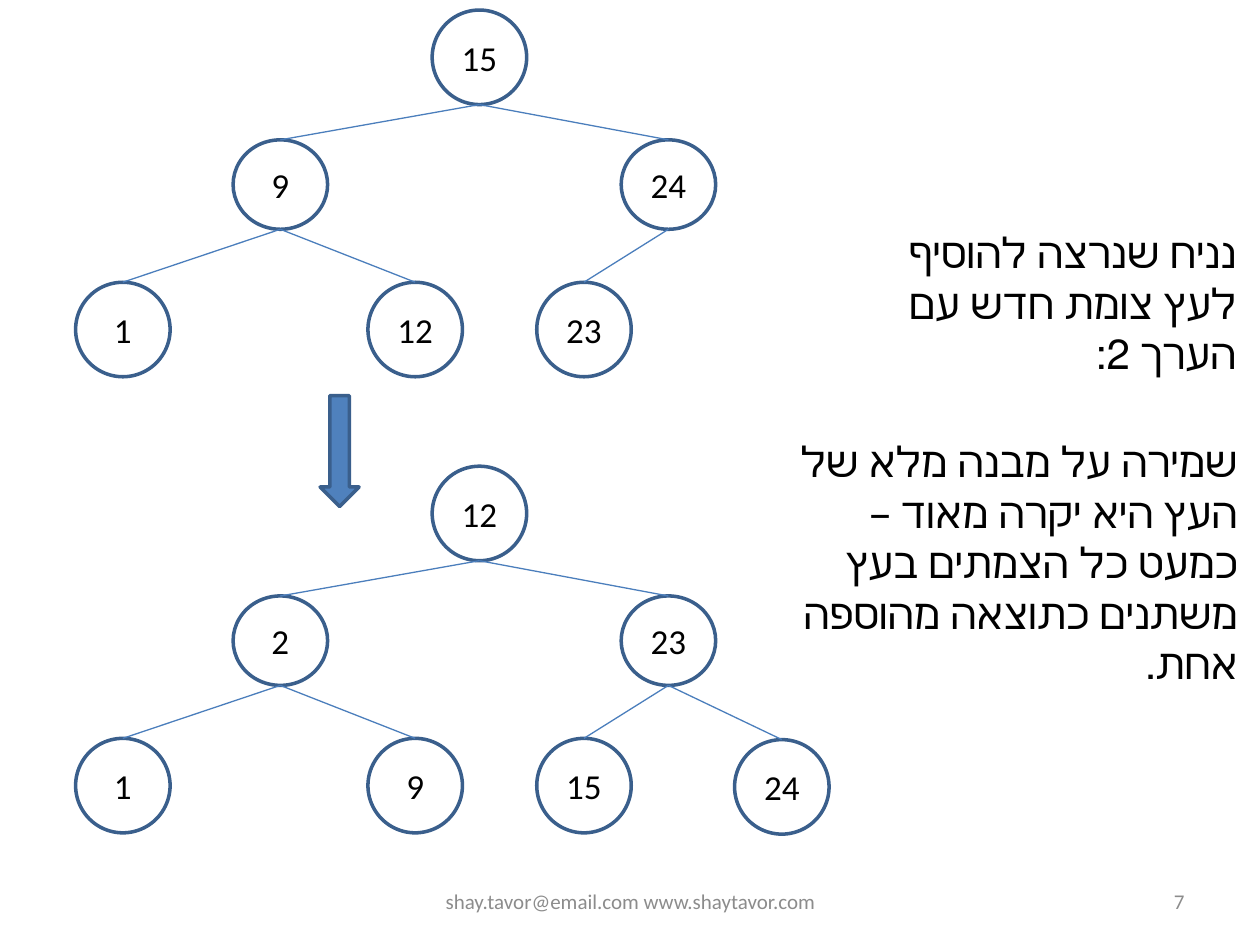
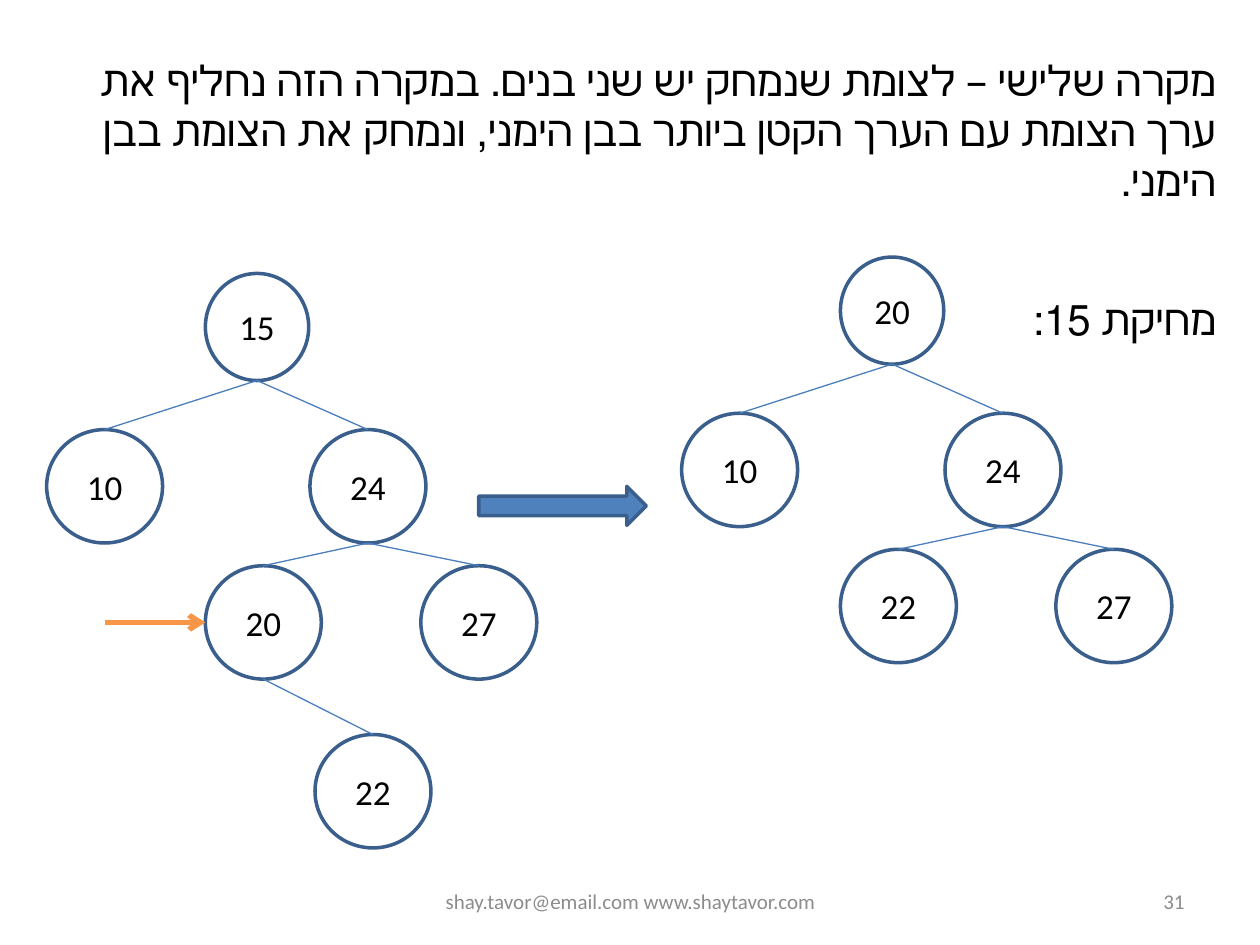
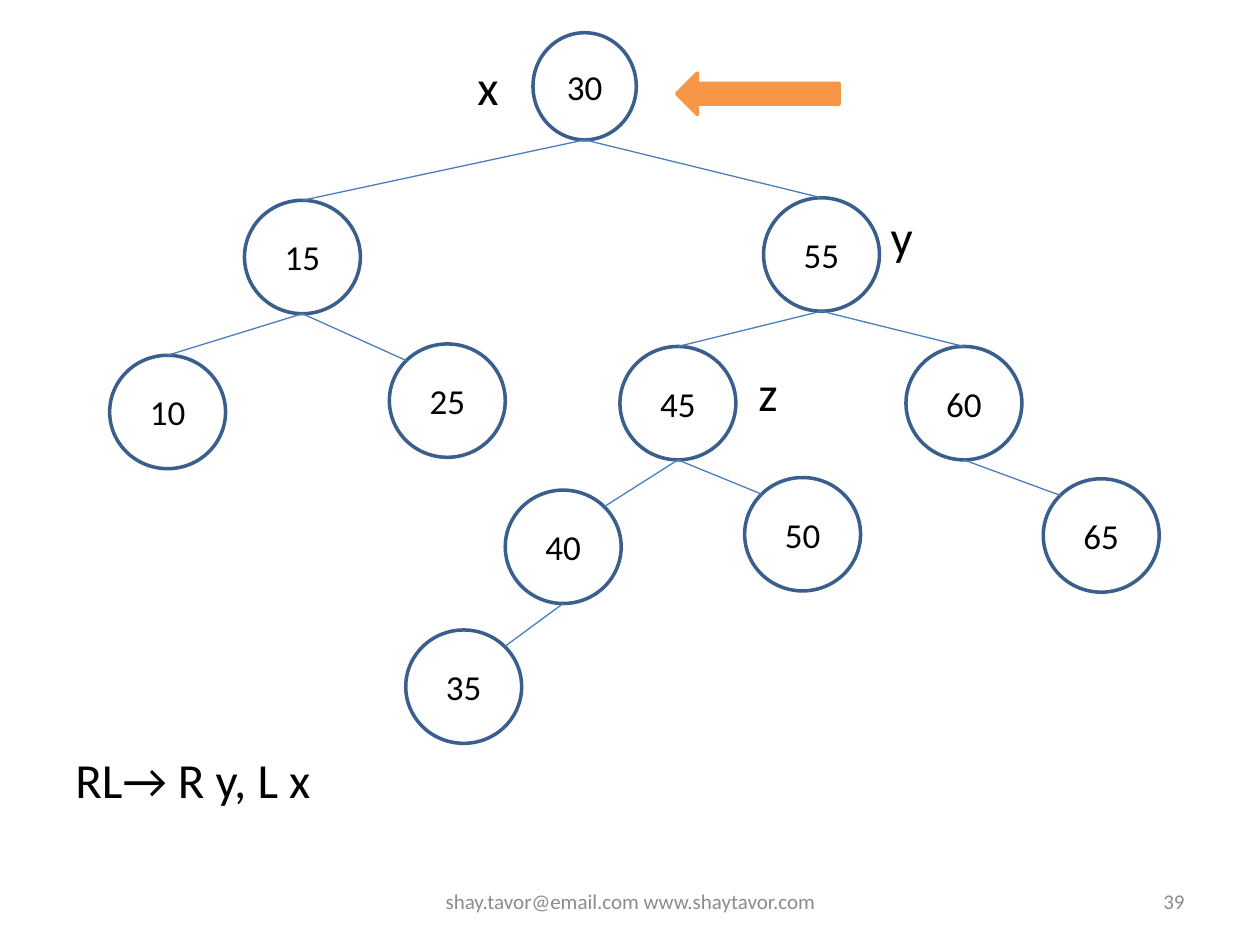
"""Build three slides about insertion, deletion and rotation in search trees."""
from typing import NamedTuple, Optional

from lxml import etree
from pptx import Presentation
from pptx.dml.color import RGBColor
from pptx.enum import lang, shapes, text
from pptx.oxml import ns
from pptx.util import Inches, Pt

COLOURS = {"outline": "3A5F8C", "edge": "4B7EBC", "step": "4F81BD",
           "marker": "F79646", "footer": "8C8C8C", "ink": "000000"}
FONT = "Calibri"
CONTACT = "shay.tavor@email.com www.shaytavor.com"
DIAGONAL = 0.5 ** 1.5


class Slot(NamedTuple):
    """Place of a node in a tree, and where the edge from its parent meets it."""
    parent: Optional[int]
    x: float
    y: float
    diagonal: bool = False


FULL_SIZES = [(0.75, 0.75), (0.75, 0.71), (0.75, 0.75)]
FULL_TREE = [Slot(None, 2.83, 0), Slot(0, 1.25, 1.03), Slot(0, 4.33, 1.03),
             Slot(1, 0, 2.16), Slot(1, 2.32, 2.16),
             Slot(2, 3.66, 2.16), Slot(2, 5.23, 2.17)]

LARGE_SIZES = [(0.82, 0.85), (0.92, 0.9)]
DELETION_TREE = [Slot(None, 1.26, 0), Slot(0, 0, 1.24), Slot(0, 2.09, 1.24),
                 Slot(2, 1.26, 2.32), Slot(2, 2.97, 2.32), Slot(3, 2.13, 3.66)]
ROTATION_TREE = [Slot(None, 3.36, 0), Slot(0, 1.07, 1.33), Slot(0, 5.19, 1.31),
                 Slot(1, 0, 2.56), Slot(1, 2.22, 2.47, True),
                 Slot(2, 4.05, 2.49), Slot(2, 6.32, 2.49),
                 Slot(5, 3.14, 3.63, True), Slot(5, 5.04, 3.53, True),
                 Slot(6, 7.41, 3.54, True), Slot(7, 2.35, 4.74, True)]


def colour(name):
    """Return a named colour."""
    return RGBColor.from_string(COLOURS[name])


def write(paragraph, words, size, ink="ink"):
    """Add one run of text to a paragraph and return it."""
    run = paragraph.add_run()
    run.text = words
    run.font.name = FONT
    run.font.size = Pt(size)
    run.font.color.rgb = colour(ink)
    return run


def add_text(slide, box, words, size, ink="ink", align=None, middle=False):
    """Place a wrapped text box and return its paragraph and run."""
    frame = slide.shapes.add_textbox(*map(Inches, box)).text_frame
    frame.word_wrap = True
    if middle:
        frame.vertical_anchor = text.MSO_ANCHOR.MIDDLE
    else:
        frame.auto_size = text.MSO_AUTO_SIZE.SHAPE_TO_FIT_TEXT
    paragraph = frame.paragraphs[0]
    paragraph.alignment = align
    return paragraph, write(paragraph, words, size, ink)


def add_hebrew(slide, box, words):
    """Place a right-to-left paragraph."""
    paragraph, run = add_text(slide, box, words, 24, align=text.PP_ALIGN.RIGHT)
    paragraph._p.get_or_add_pPr().set("rtl", "1")
    run.font.language_id = lang.MSO_LANGUAGE_ID.HEBREW


def add_outlined(slide, preset, box, outline, fill=None):
    """Place a preset shape with an outline and an optional fill."""
    shape = slide.shapes.add_shape(preset, *map(Inches, box))
    shape.shadow.inherit = False
    if fill:
        shape.fill.solid()
        shape.fill.fore_color.rgb = colour(fill)
    else:
        shape.fill.background()
    shape.line.color.rgb = colour(outline)
    shape.line.width = Pt(2)
    return shape


def add_line(slide, start, end, ink, width):
    """Draw a straight line without a shadow."""
    line = slide.shapes.add_connector(shapes.MSO_CONNECTOR.STRAIGHT,
                                      *map(Inches, (*start, *end)))
    line.line.color.rgb = colour(ink)
    line.line.width = Pt(width)
    etree.SubElement(line._element.spPr, ns.qn("a:effectLst"))
    return line


def add_node(slide, box, value):
    """Draw one circled value."""
    node = add_outlined(slide, shapes.MSO_SHAPE.OVAL, box, "outline")
    frame = node.text_frame
    frame.margin_left = frame.margin_right = 0
    frame.vertical_anchor = text.MSO_ANCHOR.MIDDLE
    frame.paragraphs[0].alignment = text.PP_ALIGN.CENTER
    write(frame.paragraphs[0], str(value), 20)
    return node


def add_tree(slide, left, top, slots, sizes, values):
    """Draw a tree of values from the top left corner of its area."""
    boxes, depths = [], []
    for slot, value in zip(slots, values):
        depth = 0 if slot.parent is None else depths[slot.parent] + 1
        width, height = sizes[min(depth, len(sizes) - 1)]
        x, y = left + slot.x, top + slot.y
        node = add_node(slide, (x, y, width, height), value)
        depths.append(depth)
        boxes.append((x, y, width, height))
        if slot.parent is None:
            continue
        px, py, parent_width, parent_height = boxes[slot.parent]
        start = (px + parent_width / 2, py + parent_height)
        end = (x + width / 2, y)
        if slot.diagonal:
            side = 1 if start[0] > end[0] else -1
            end = (end[0] + side * DIAGONAL * width,
                   y + (0.5 - DIAGONAL) * height)
        edge = add_line(slide, start, end, "edge", 0.75)
        if not slot.diagonal:
            edge.end_connect(node, 0)


def add_footer(slide, number):
    """Place the contact line and the slide number."""
    add_text(slide, (3.42, 6.95, 3.17, 0.4), CONTACT, 12, "footer",
             text.PP_ALIGN.CENTER, middle=True)
    add_text(slide, (7.17, 6.95, 2.33, 0.4), str(number), 12, "footer",
             text.PP_ALIGN.RIGHT, middle=True)


def build_insertion(slide):
    """Show a full tree before and after a value is inserted."""
    add_tree(slide, 0.6, 0.08, FULL_TREE, FULL_SIZES, [15, 9, 24, 1, 12, 23])
    add_hebrew(slide, (6.58, 1.75, 3.33, 0.91),
               "נניח שנרצה להוסיף לעץ צומת חדש עם הערך 2:")
    add_tree(slide, 0.6, 3.7, FULL_TREE, FULL_SIZES, [12, 2, 23, 1, 9, 15, 24])
    add_outlined(slide, shapes.MSO_SHAPE.DOWN_ARROW, (2.54, 3.14, 0.31, 0.88),
                 "outline", "step")
    add_hebrew(slide, (6.06, 3.41, 3.86, 1.72),
               "שמירה על מבנה מלא של העץ היא יקרה מאוד – כמעט כל הצמתים "
               "בעץ משתנים כתוצאה מהוספה אחת.")


def build_deletion(slide):
    """Show the deletion of a node that has two children."""
    add_hebrew(slide, (0.42, 0.38, 9.33, 0.91),
               "מקרה שלישי – לצומת שנמחק יש שני בנים. במקרה הזה נחליף את "
               "ערך הצומת עם הערך הקטן ביותר בבן הימני, ונמחק את הצומת "
               "בבן הימני.")
    add_hebrew(slide, (6.17, 2.28, 3.58, 0.5), "מחיקת 15:")
    add_outlined(slide, shapes.MSO_SHAPE.RIGHT_ARROW, (3.8, 3.86, 1.33, 0.31),
                 "outline", "step")
    add_tree(slide, 0.37, 2.17, DELETION_TREE, LARGE_SIZES,
             [15, 10, 24, 20, 27, 22])
    add_tree(slide, 5.41, 2.04, DELETION_TREE, LARGE_SIZES,
             [20, 10, 24, 22, 27])
    successor = add_line(slide, (0.83, 4.94), (1.63, 4.94), "marker", 3)
    etree.SubElement(successor.line._get_or_add_ln(), ns.qn("a:tailEnd"),
                     type="arrow")


def build_rotation(slide):
    """Show the nodes that take part in a double rotation."""
    add_tree(slide, 0.87, 0.26, ROTATION_TREE, LARGE_SIZES,
             [30, 15, 55, 10, 25, 45, 60, 40, 50, 65, 35])
    add_outlined(slide, shapes.MSO_SHAPE.LEFT_ARROW, (5.37, 0.58, 1.29, 0.33),
                 "marker", "marker")
    for letter, x, y in [("x", 3.69, 0.4), ("z", 5.92, 2.83), ("y", 6.97, 1.59)]:
        add_text(slide, (x, y, 0.54, 0.57), letter, 28)
    add_text(slide, (0.5, 5.9, 3.18, 0.57), "RL→ R y, L x", 28)


def main():
    """Build and save the slides."""
    deck = Presentation()
    deck.slide_width, deck.slide_height = Inches(10), Inches(7.5)
    for number, build in [(7, build_insertion), (31, build_deletion),
                          (39, build_rotation)]:
        slide = deck.slides.add_slide(deck.slide_layouts[6])
        add_footer(slide, number)
        build(slide)
    deck.save("out.pptx")


if __name__ == "__main__":
    main()
